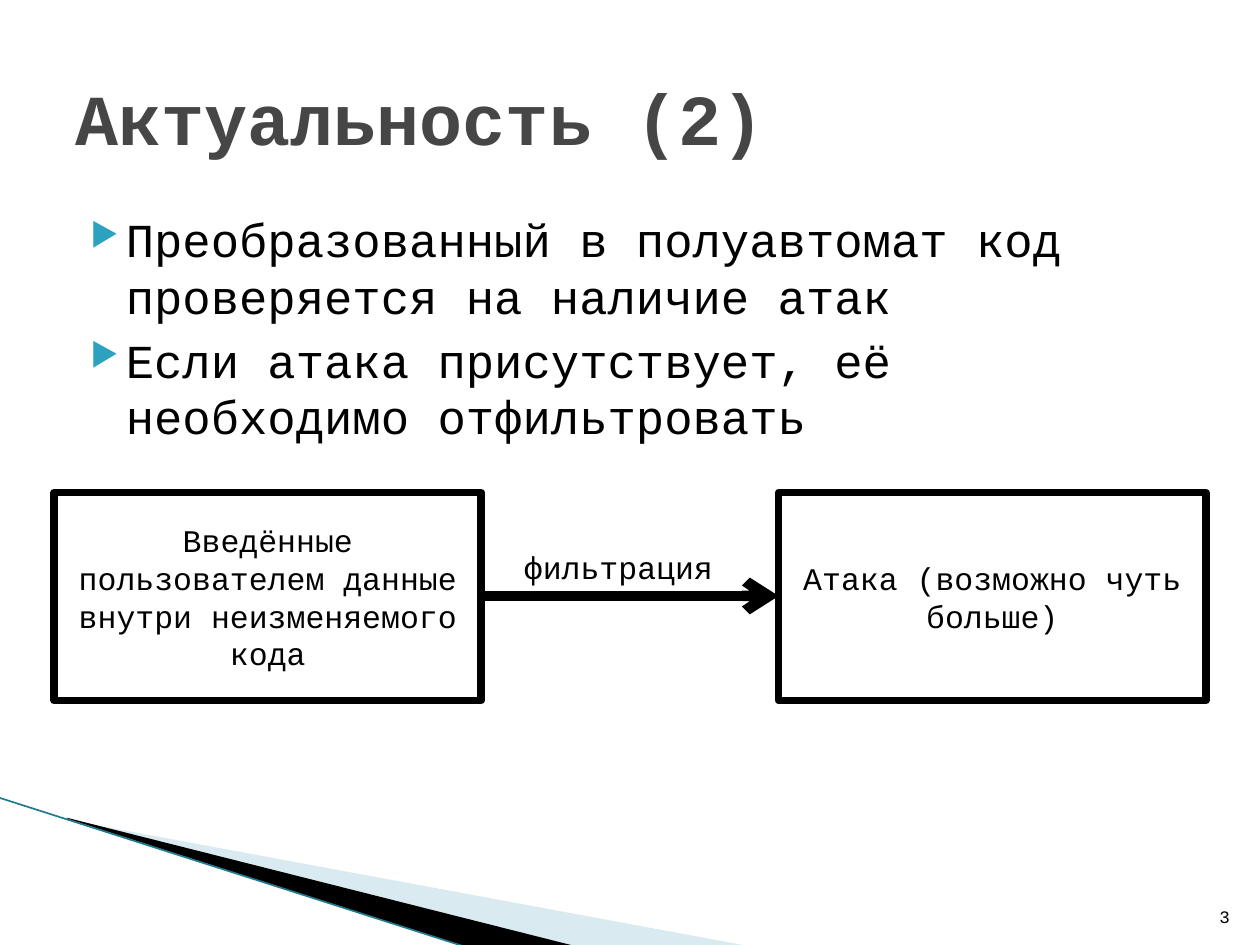
from lxml import etree
from pptx import Presentation
from pptx.dml.color import RGBColor
from pptx.enum import shapes, text
from pptx.oxml.ns import qn
from pptx.util import Inches, Pt

BLACK = RGBColor(0x00, 0x00, 0x00)
TITLE_GRAY = RGBColor(0x46, 0x46, 0x46)
PALE_BLUE = RGBColor(0xA0, 0xCB, 0xDC)
TEAL = RGBColor(0x1F, 0x7A, 0x8C)
BULLET_BLUE = "2DA2BF"
FONT = "Courier New"


def write(frame, *lines, size=18, color=BLACK, bold=False,
          align=text.PP_ALIGN.LEFT, anchor=text.MSO_ANCHOR.TOP, bullet=None):
    """Fill a text frame with one formatted paragraph per line."""
    frame.word_wrap = True
    frame.auto_size = text.MSO_AUTO_SIZE.NONE
    frame.vertical_anchor = anchor
    for index, line in enumerate(lines):
        paragraph = frame.add_paragraph() if index else frame.paragraphs[0]
        paragraph.alignment = align
        run = paragraph.add_run()
        run.text = line
        run.font.name = FONT
        run.font.size = Pt(size)
        run.font.bold = bold
        run.font.color.rgb = color
        if bullet:
            paragraph.space_before = Pt(4)
            props = paragraph._p.get_or_add_pPr()
            props.set("marL", str(Inches(0.4)))
            props.set("indent", str(Inches(-0.28)))
            bullet_color = etree.SubElement(props, qn("a:buClr"))
            etree.SubElement(bullet_color, qn("a:srgbClr"), val=BULLET_BLUE)
            etree.SubElement(props, qn("a:buSzPct"), val="68000")
            etree.SubElement(props, qn("a:buChar"), char=bullet)


def draw_line(start, end, color, width):
    """Add a straight line without a shadow and return its line properties."""
    line = slide.shapes.add_connector(
        shapes.MSO_CONNECTOR.STRAIGHT, *map(Inches, start + end))
    line.line.color.rgb = color
    line.line.width = Pt(width)
    etree.SubElement(line._element.spPr, qn("a:effectLst"))
    return line.line._get_or_add_ln()


prs = Presentation()
prs.slide_width, prs.slide_height = Inches(10), Inches(7.5)
slide = prs.slides.add_slide(prs.slide_layouts[5])

# Corner decoration
wedges = [
    ([(0.55, 6.51), (5.95, 7.51), (4.56, 7.51), (0.55, 6.5)], PALE_BLUE, 40),
    ([(0.53, 6.49), (4.57, 7.51), (3.72, 7.52), (0.54, 6.5)], BLACK, 100),
]
for points, color, opacity in wedges:
    corners = [(Inches(x), Inches(y)) for x, y in points]
    outline = slide.shapes.build_freeform(*corners[0])
    outline.add_line_segments(corners[1:])
    wedge = outline.convert_to_shape()
    wedge.shadow.inherit = False
    wedge.line.fill.background()
    wedge.fill.solid()
    wedge.fill.fore_color.rgb = color
    if opacity < 100:
        tint = wedge._element.spPr.find(qn("a:solidFill"))[0]
        etree.SubElement(tint, qn("a:alpha"), val=str(opacity * 1000))
draw_line((-0.01, 6.33), (3.71, 7.52), TEAL, 0.95)

# Title, bullets and page number
title = slide.shapes.title
title.left, title.top, title.width, title.height = map(Inches, (0.5, 0.3, 9, 1.25))
write(title.text_frame, "Актуальность (2)", size=41, color=TITLE_GRAY, bold=True,
      anchor=text.MSO_ANCHOR.MIDDLE)

points_box = slide.shapes.add_textbox(*map(Inches, (0.5, 1.62, 9, 1.97)))
write(points_box.text_frame,
      "Преобразованный в полуавтомат код проверяется на наличие атак",
      "Если атака присутствует, её необходимо отфильтровать",
      size=27, bullet="▶")

page_number = slide.shapes.add_textbox(*map(Inches, (9.46, 7.01, 0.4, 0.4)))
write(page_number.text_frame, "3", size=10, align=text.PP_ALIGN.RIGHT,
      anchor=text.MSO_ANCHOR.BOTTOM)

# Filtering diagram
stages = [
    (0.43, "Введённые пользователем данные внутри неизменяемого кода"),
    (6.18, "Атака (возможно чуть больше)"),
]
for left, label in stages:
    stage = slide.shapes.add_shape(
        shapes.MSO_SHAPE.RECTANGLE, *map(Inches, (left, 3.91, 3.39, 1.65)))
    stage.shadow.inherit = False
    stage.fill.background()
    stage.line.color.rgb = BLACK
    stage.line.width = Pt(4.33)
    etree.SubElement(stage.line._get_or_add_ln(), qn("a:round"))
    write(stage.text_frame, label, align=text.PP_ALIGN.CENTER,
          anchor=text.MSO_ANCHOR.MIDDLE)

arrow = draw_line((3.82, 4.73), (6.18, 4.73), BLACK, 6)
etree.SubElement(arrow, qn("a:tailEnd"), type="arrow")

arrow_label = slide.shapes.add_textbox(*map(Inches, (4.06, 4.3, 1.73, 0.4)))
write(arrow_label.text_frame, "фильтрация")

prs.save("out.pptx")
